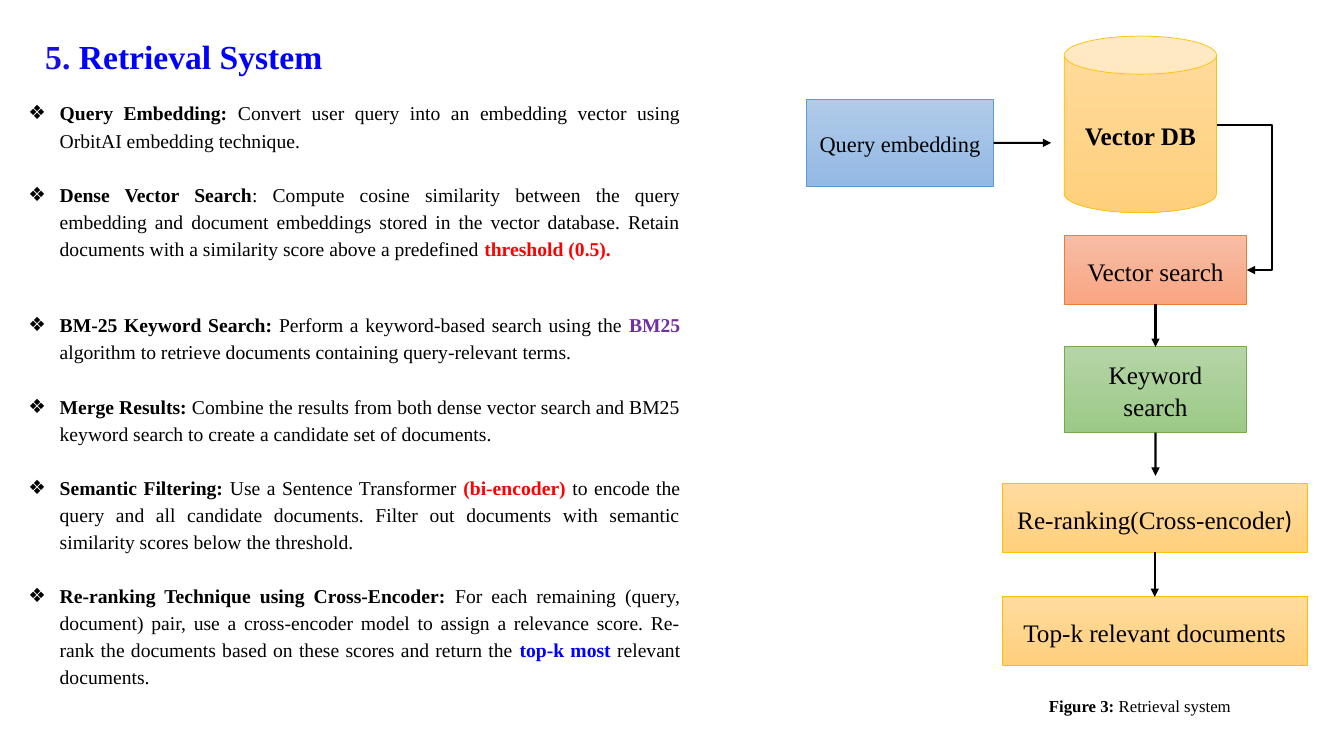
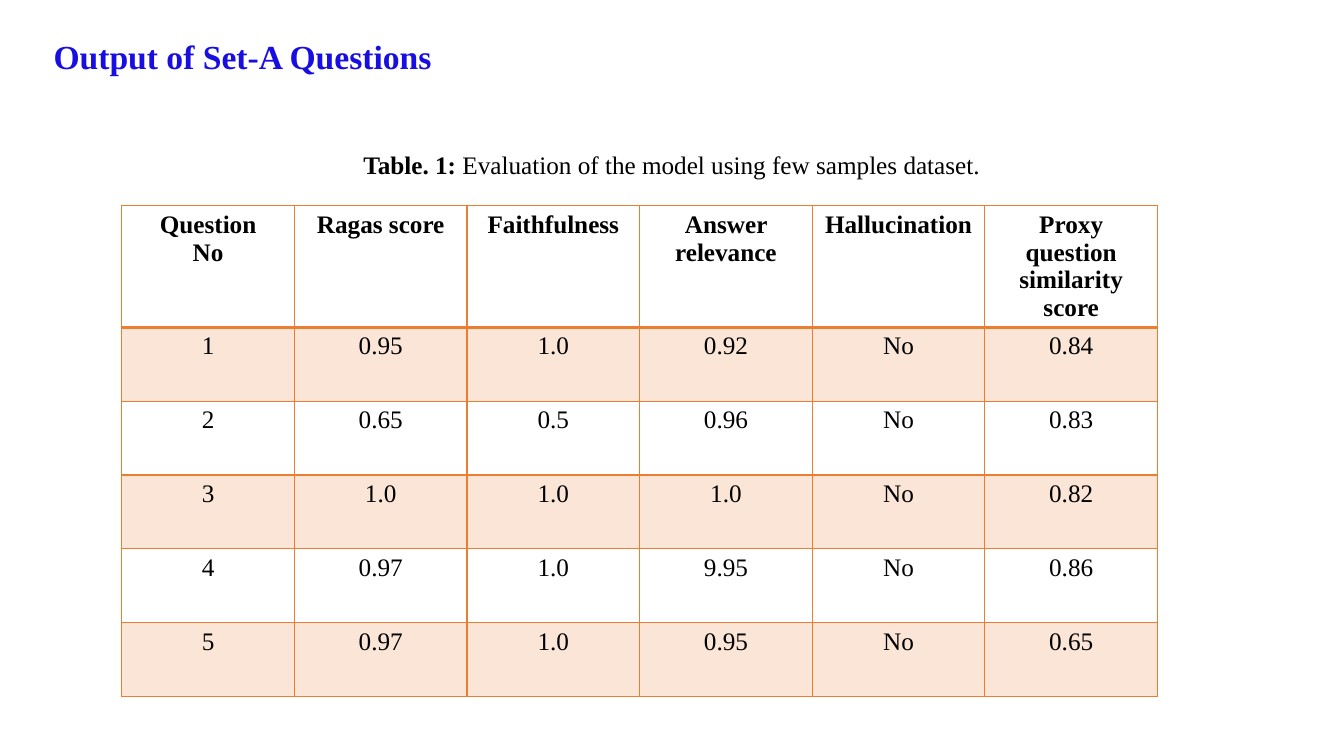
import pptx
import pptx.chart.data
import pptx.dml.color
import pptx.enum.dml
import pptx.enum.shapes
import pptx.enum.text
import pptx.oxml
import pptx.oxml.ns
import pptx.util
from lxml import etree

Cm, Pt = pptx.util.Cm, pptx.util.Pt
ALIGN = pptx.enum.text.PP_ALIGN
ANCHOR = pptx.enum.text.MSO_ANCHOR
SHAPE = pptx.enum.shapes.MSO_SHAPE
LINK = pptx.enum.shapes.MSO_CONNECTOR

FONT = "Times New Roman"
COLORS = {
    "black": "000000", "title": "180EE2", "blue": "0000FF", "red": "FF0000",
    "purple": "7030A0", "orange": "ED7D31", "peach": "FBE5D6",
}
BOX_STYLES = {
    "gold": ("FFDB9E", "FFD07C", "FFC000"),
    "sky": ("B1CBE9", "93B9E4", "5B9BD5"),
    "coral": ("F7BDA5", "F8A582", "ED7D31"),
    "green": ("B5D5A7", "9CC987", "70AD47"),
}
STEPS = [
    [("Query Embedding:", "black", True),
     (" Convert user query into an embedding vector using OrbitAI embedding technique.",)],
    [("Dense Vector Search", "black", True),
     (": Compute cosine similarity between the query embedding and document embeddings "
      "stored in the vector database. Retain documents with a similarity score above a "
      "predefined ",),
     ("threshold (0.5).", "red", True)],
    [("BM-25 Keyword Search:", "black", True),
     (" Perform a keyword-based search using the ",), ("BM25 ", "purple", True),
     ("algorithm to retrieve documents containing query-relevant terms.",)],
    [("Merge Results:", "black", True),
     (" Combine the results from both dense vector search and BM25 keyword search to "
      "create a candidate set of documents.",)],
    [("Semantic Filtering:", "black", True), (" Use a Sentence Transformer ",),
     ("(bi-encoder) ", "red", True),
     ("to encode the query and all candidate documents. Filter out documents with "
      "semantic similarity scores below the threshold.",)],
    [("Re-ranking Technique using Cross-Encoder: ", "black", True),
     ("For each remaining (query, document) pair, use a cross-encoder model to assign a "
      "relevance score. Re-rank the documents based on these scores and return the ",),
     ("top-k most ", "blue", True), ("relevant documents.",)],
]
STEP_GAPS = [0, 19.4, 35.4, 19.4, 19.4, 19.4]
SCORES = [
    ["Question\nNo", "Ragas score", "Faithfulness", "Answer relevance", "Hallucination",
     "Proxy question similarity score"],
    ["1", "0.95", "1.0", "0.92", "No", "0.84"],
    ["2", "0.65", "0.5", "0.96", "No", "0.83"],
    ["3", "1.0", "1.0", "1.0", "No", "0.82"],
    ["4", "0.97", "1.0", "9.95", "No", "0.86"],
    ["5", "0.97", "1.0", "0.95", "No", "0.65"],
]


def rgb(value):
    """Turn a hex string into a colour."""
    return pptx.dml.color.RGBColor.from_string(value)


def add_xml(parent, tag, **attributes):
    """Append a drawing element with its attributes."""
    return etree.SubElement(parent, pptx.oxml.ns.qn(tag), attributes)


def add_span(para, text, color="black", bold=False, size=18, font=FONT):
    """Add formatted text to a paragraph."""
    span = para.add_run()
    span.text = text
    span.font.name, span.font.size, span.font.bold = font, Pt(size), bold
    span.font.color.rgb = rgb(COLORS[color])


def format_para(para, align, line=1.0, before=0):
    """Set the alignment and spacing of a paragraph."""
    para.alignment, para.line_spacing = align, line
    para.space_before, para.space_after = Pt(before), Pt(0)


def place(shape, left, top, width, height):
    """Move and size a shape, in centimetres."""
    shape.left, shape.top = Cm(left), Cm(top)
    shape.width, shape.height = Cm(width), Cm(height)


def set_title(page, spans, indent=0.25):
    """Fill the title placeholder in the shared style."""
    title = page.shapes.title
    place(title, 0.89, 0.53, 18.62, 1.9)
    frame = title.text_frame
    frame.auto_size = pptx.enum.text.MSO_AUTO_SIZE.NONE
    frame.vertical_anchor, frame.margin_left = ANCHOR.MIDDLE, Cm(indent)
    format_para(frame.paragraphs[0], ALIGN.LEFT, line=0.9)
    for text, color in spans:
        add_span(frame.paragraphs[0], text, color, bold=True, size=24)


def fill_steps(body):
    """Write the bulleted retrieval steps."""
    place(body, 0.46, 2.34, 16.94, 15.24)
    frame = body.text_frame
    frame.auto_size = pptx.enum.text.MSO_AUTO_SIZE.NONE
    for number, (spans, gap) in enumerate(zip(STEPS, STEP_GAPS)):
        para = frame.add_paragraph() if number else frame.paragraphs[0]
        props = para._p.get_or_add_pPr()
        props.set("marL", str(Cm(0.79)))
        props.set("indent", str(-Cm(0.79)))
        add_xml(props, "a:buChar", char="❖")
        format_para(para, ALIGN.JUSTIFY, line=1.15, before=gap)
        for span in spans:
            add_span(para, *span, size=14)


def add_caption(page, label, text, bounds, size):
    """Add a centred caption with a bold label."""
    box = page.shapes.add_textbox(*map(Cm, bounds))
    box.text_frame.word_wrap = True
    para = box.text_frame.paragraphs[0]
    format_para(para, ALIGN.CENTER, line=1.15)
    add_span(para, label, bold=True, size=size)
    add_span(para, text, size=size)


def add_box(page, text, style, bounds, kind=SHAPE.RECTANGLE, **text_format):
    """Add a labelled gradient shape."""
    box = page.shapes.add_shape(kind, *map(Cm, bounds))
    box.shadow.inherit = False
    start, end, edge = BOX_STYLES[style]
    box.fill.gradient()
    box.fill.gradient_angle = 270
    for stop, color, position in zip(box.fill.gradient_stops, (start, end), (0, 1)):
        stop.color.rgb, stop.position = rgb(color), position
    box.line.color.rgb, box.line.width = rgb(edge), Pt(0.5)
    box.text_frame.word_wrap = True
    box.text_frame.vertical_anchor = ANCHOR.MIDDLE
    para = box.text_frame.paragraphs[0]
    format_para(para, ALIGN.CENTER, line=1.07)
    add_span(para, text, **text_format)
    return box


def add_arrow(page, start, end, source=None, target=None, bend=None):
    """Add an arrow, joined to (box, side) pairs where given."""
    kind = LINK.STRAIGHT if bend is None else LINK.ELBOW
    arrow = page.shapes.add_connector(kind, *map(Cm, start + end))
    if source:
        arrow.begin_connect(*source)
    if target:
        arrow.end_connect(*target)
    if bend is not None:
        guides = arrow._element.spPr.find(pptx.oxml.ns.qn("a:prstGeom")).get_or_add_avLst()
        add_xml(guides, "a:gd", name="adj1", fmla=f"val {bend}")
    arrow.line.color.rgb, arrow.line.width = rgb(COLORS["black"]), Pt(1.5)
    add_xml(arrow.line._get_or_add_ln(), "a:tailEnd", type="triangle")
    add_xml(arrow._element.spPr, "a:effectLst")


def add_flow(page):
    """Draw the retrieval flow chart."""
    add_box(page, "Vector DB", "gold", (26.82, 0.91, 3.84, 4.45), SHAPE.CAN, bold=True)
    query = add_box(page, "Query embedding", "sky", (20.32, 2.51, 4.72, 2.18), size=16)
    search = add_box(page, "Vector search", "coral", (26.82, 5.94, 4.6, 1.73))
    keyword = add_box(page, "Keyword search", "green", (26.82, 8.74, 4.6, 2.16))
    ranking = add_box(page, "Re-ranking(Cross-encoder", "gold", (25.25, 12.19, 7.7, 1.73))
    add_span(ranking.text_frame.paragraphs[0], ")", font="Calibri")
    top = add_box(page, "Top-k relevant documents", "gold", (25.25, 15.04, 7.7, 1.73))
    add_arrow(page, (25.04, 3.6), (26.49, 3.6), source=(query, 3))
    add_arrow(page, (30.66, 3.15), (31.42, 6.8), target=(search, 3), bend=183000)
    add_arrow(page, (29.12, 7.67), (29.12, 8.74), source=(search, 2), target=(keyword, 0))
    add_arrow(page, (29.12, 10.9), (29.12, 11.99), source=(keyword, 2))
    add_arrow(page, (29.1, 13.92), (29.1, 15.04), source=(ranking, 2), target=(top, 0))


def set_borders(cell, bottom):
    """Draw the four borders of a cell."""
    props = cell._tc.get_or_add_tcPr()
    for tag, width in (("a:lnL", 1), ("a:lnR", 1), ("a:lnT", 1), ("a:lnB", bottom)):
        line = add_xml(props, tag, w=str(Pt(width)))
        add_xml(add_xml(line, "a:solidFill"), "a:srgbClr", val=COLORS["orange"])


def add_scores(page):
    """Add the evaluation table."""
    rows, columns = len(SCORES), len(SCORES[0])
    frame = page.shapes.add_table(rows, columns, *map(Cm, (3.07, 5.18, 26.1, 12.36)))
    table = frame.table
    for row_number, values in enumerate(SCORES):
        header = row_number == 0
        table.rows[row_number].height = Cm(3.06 if header else 1.86)
        for column, value in enumerate(values):
            cell = table.cell(row_number, column)
            set_borders(cell, bottom=2 if header else 1)
            if row_number % 2:
                cell.fill.solid()
                cell.fill.fore_color.rgb = rgb(COLORS["peach"])
            else:
                cell.fill.background()
            for number, text in enumerate(value.split("\n")):
                frame = cell.text_frame
                para = frame.add_paragraph() if number else frame.paragraphs[0]
                format_para(para, ALIGN.CENTER)
                add_span(para, text, bold=header)


def main():
    """Build and save the deck."""
    deck = pptx.Presentation()
    deck.slide_width, deck.slide_height = Cm(33.87), Cm(19.05)

    page = deck.slides.add_slide(deck.slide_layouts[1])
    set_title(page, [("5. ", "title"), ("Retrieval System", "blue")])
    fill_steps(page.placeholders[1])
    add_caption(page, "Figure 3:", " Retrieval system", (25.73, 17.32, 6, 0.81), size=12)
    add_flow(page)

    page = deck.slides.add_slide(deck.slide_layouts[5])
    set_title(page, [("Output of Set-A Questions", "title")], indent=0.46)
    add_scores(page)
    add_caption(page, "Table. 1:", " Evaluation of the model using few samples dataset.",
                (8.46, 3.53, 16.94, 1.09), size=18)

    deck.save("out.pptx")


if __name__ == "__main__":
    main()
